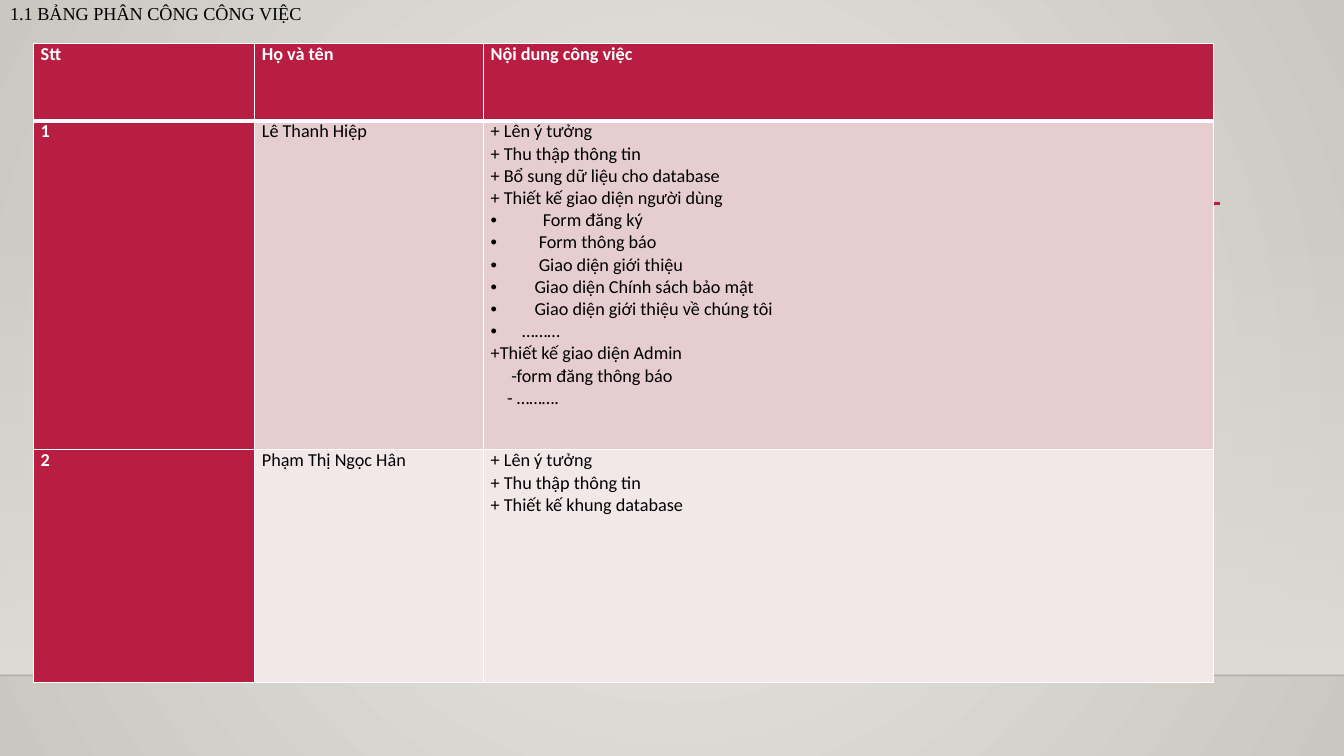
from lxml import etree
from pptx import Presentation
from pptx.dml.color import RGBColor
from pptx.enum import shapes, text
from pptx.oxml import parse_xml
from pptx.oxml.ns import nsdecls, qn
from pptx.util import Pt

CRIMSON = RGBColor(0xB7, 0x1E, 0x42)
ROSE = RGBColor(0xE6, 0xCD, 0xCF)
BLUSH = RGBColor(0xF3, 0xE8, 0xE9)
STONE = RGBColor(0xDF, 0xDB, 0xD5)
MIST = RGBColor(0xEC, 0xEA, 0xE7)
TAUPE = RGBColor(0xCA, 0xC7, 0xC1)
WHITE = RGBColor(0xFF, 0xFF, 0xFF)
BLACK = RGBColor(0, 0, 0)


def set_gradient(properties, stops, direction):
    """Replace a solid fill by a gradient; stops are (percent, colour, opacity)."""
    stop_xml = "".join(
        f'<a:gs pos="{percent * 1000}"><a:srgbClr val="{color}">'
        f'<a:alpha val="{opacity * 1000}"/></a:srgbClr></a:gs>'
        for percent, color, opacity in stops)
    gradient = parse_xml(
        f'<a:gradFill {nsdecls("a")} rotWithShape="1">'
        f'<a:gsLst>{stop_xml}</a:gsLst>{direction}</a:gradFill>')
    properties.replace(properties.find(qn("a:solidFill")), gradient)


def write_paragraph(paragraph, content, font_format):
    paragraph.text = content
    for name, value in font_format.items():
        if name == "color":
            paragraph.font.color.rgb = value
        else:
            setattr(paragraph.font, name, value)


presentation = Presentation()
presentation.slide_width, presentation.slide_height = Pt(960), Pt(540)
slide = presentation.slides.add_slide(presentation.slide_layouts[5])

# Background
slide.background.fill.solid()
set_gradient(
    slide.element.find(".//" + qn("p:bgPr")),
    [(0, MIST, 100), (100, TAUPE, 100)],
    '<a:path path="circle"><a:fillToRect l="50000" t="50000" r="50000" b="50000"/></a:path>')

# Wall shading that fades in downwards
wall = slide.shapes.add_shape(
    shapes.MSO_SHAPE.RECTANGLE, Pt(0), Pt(159), Pt(960), Pt(323.4))
wall.shadow.inherit = False
wall.fill.solid()
set_gradient(wall.element.spPr, [(0, STONE, 0), (100, STONE, 100)],
             '<a:lin ang="5400000" scaled="0"/>')
wall.line.fill.background()

# Floor line and accent line: left, right, height, colour, width, opacity
for left, right, y, color, width, opacity in [
    (0, 960, 482.4, BLACK, 1, 20),
    (114.5, 871.2, 145.4, CRIMSON, 2.5, 100),
]:
    rule = slide.shapes.add_connector(
        shapes.MSO_CONNECTOR.STRAIGHT, Pt(left), Pt(y), Pt(right), Pt(y))
    rule.line.color.rgb = color
    rule.line.width = Pt(width)
    properties = rule.element.spPr
    etree.SubElement(properties.find(".//" + qn("a:srgbClr")), qn("a:alpha"),
                     val=str(opacity * 1000))
    etree.SubElement(properties, qn("a:effectLst"))

# Title
title = slide.shapes.title
title.left, title.top, title.width, title.height = Pt(0), Pt(0), Pt(756), Pt(82.8)
title.text_frame.vertical_anchor = text.MSO_ANCHOR.TOP
title.text_frame.auto_size = text.MSO_AUTO_SIZE.NONE
heading = title.text_frame.paragraphs[0]
write_paragraph(heading, "1.1 BẢNG PHÂN CÔNG CÔNG VIỆC",
                {"name": "Times New Roman", "size": Pt(13), "color": BLACK})
heading.alignment = text.PP_ALIGN.LEFT
heading.line_spacing = 0.9

# Table content: each line is (text, indent, bulleted)
shared_tasks = [("+ Lên ý tưởng", 0, False), ("+ Thu thập thông tin", 0, False)]
interface_tasks = [
    ("+ Bổ sung dữ liệu cho database", 0, False),
    ("+ Thiết kế giao diện người dùng", 0, False),
    ("Form đăng ký", 37.2, True),
    ("Form thông báo", 34.3, True),
    ("Giao diện giới thiệu", 34.3, True),
    ("Giao diện Chính sách bảo mật", 31.3, True),
    ("Giao diện giới thiệu về chúng tôi", 31.3, True),
    ("………", 22.5, True),
    ("+Thiết kế giao diện Admin", 0, False),
    ("-form đăng thông báo", 14.7, False),
    ("- ……….", 11.8, False),
]
rows = [
    [[("Stt", 0, False)], [("Họ và tên", 0, False)], [("Nội dung công việc", 0, False)]],
    [[("1", 0, False)], [("Lê Thanh Hiệp", 0, False)], shared_tasks + interface_tasks],
    [[("2", 0, False)], [("Phạm Thị Ngọc Hân", 0, False)],
     shared_tasks + [("+ Thiết kế khung database", 0, False)]],
]
column_widths = [158, 163.5, 521.3]
row_heights = [55.4, 235, 166.5]
row_fills = [CRIMSON, ROSE, BLUSH]

# Work assignment table
table = slide.shapes.add_table(
    len(rows), len(column_widths), Pt(23.9), Pt(30.8),
    Pt(sum(column_widths)), Pt(sum(row_heights))).table
table.first_row = table.horz_banding = False
for column, width in zip(table.columns, column_widths):
    column.width = Pt(width)
for row, height in zip(table.rows, row_heights):
    row.height = Pt(height)

for row_index, row in enumerate(rows):
    for column_index, lines in enumerate(row):
        cell = table.cell(row_index, column_index)
        is_header = row_index == 0 or column_index == 0
        cell.margin_left = cell.margin_right = Pt(5.2)
        cell.margin_top = cell.margin_bottom = Pt(0)

        # Borders, with a heavier one below the header row
        widths = {"lnL": 1, "lnR": 1, "lnT": 3 if row_index == 1 else 1,
                  "lnB": 3 if row_index == 0 else 1}
        for side, width in widths.items():
            cell._tc.get_or_add_tcPr().append(parse_xml(
                f'<a:{side} {nsdecls("a")} w="{Pt(width)}"><a:solidFill>'
                f'<a:srgbClr val="{WHITE}"/></a:solidFill></a:{side}>'))
        cell.fill.solid()
        cell.fill.fore_color.rgb = CRIMSON if is_header else row_fills[row_index]

        cell_font = {"name": "Calibri", "size": Pt(13), "bold": is_header,
                     "color": WHITE if is_header else BLACK}
        for line_index, (content, indent, bulleted) in enumerate(lines):
            frame = cell.text_frame
            paragraph = frame.add_paragraph() if line_index else frame.paragraphs[0]
            if indent:
                properties = paragraph._p.get_or_add_pPr()
                properties.set("marL", str(Pt(indent)))
                properties.set("indent", str(-Pt(indent) if bulleted else 0))
                if bulleted:
                    etree.SubElement(properties, qn("a:buFont"), typeface="Arial")
                    etree.SubElement(properties, qn("a:buChar"), char="•")
            write_paragraph(paragraph, content, cell_font)

presentation.save("out.pptx")
